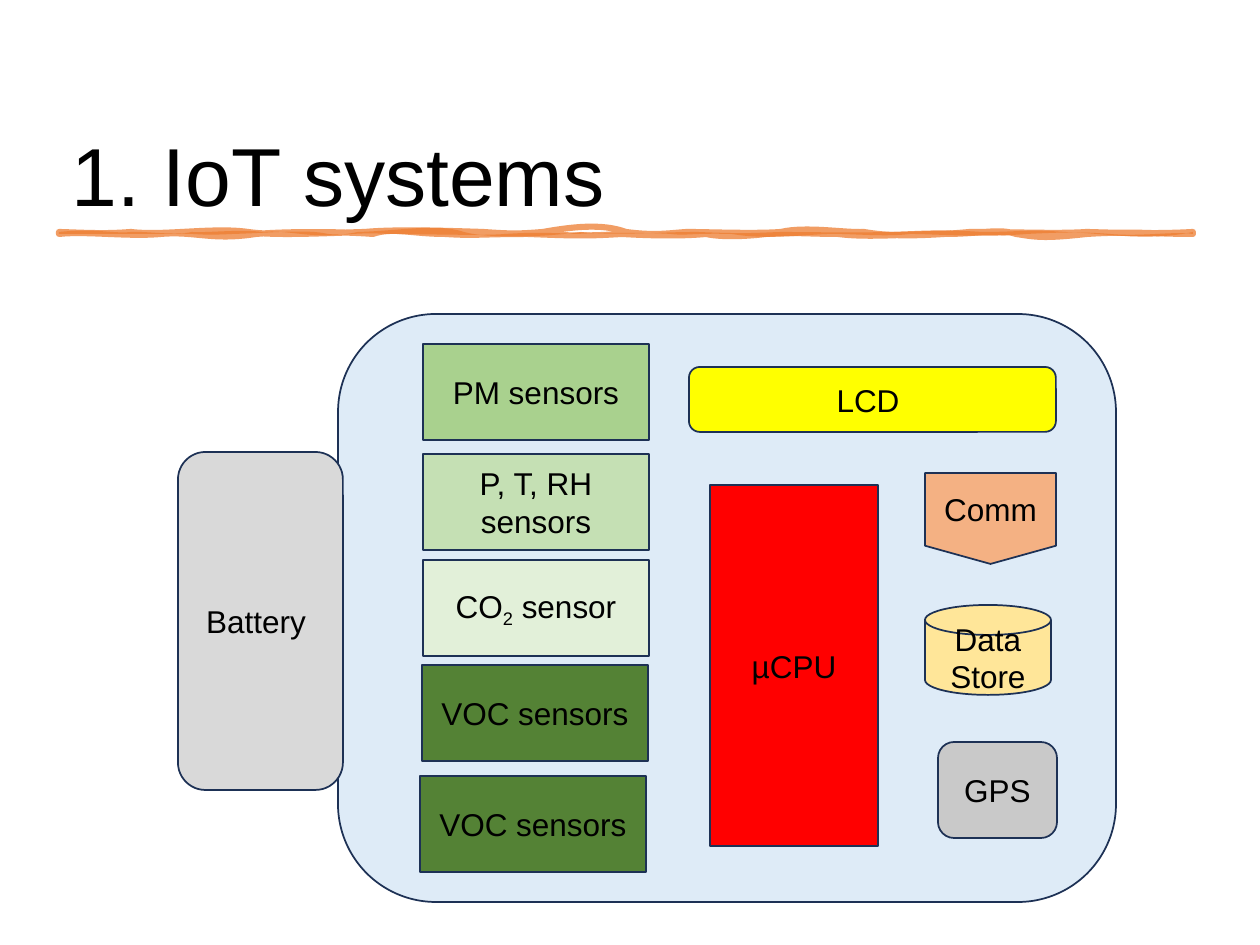
"""Build a slide showing the blocks of an IoT air-quality system."""
from lxml.etree import SubElement
from pptx import Presentation
from pptx.dml.color import RGBColor
from pptx.enum.shapes import MSO_SHAPE as SHAPE
from pptx.enum.text import MSO_ANCHOR as ANCHOR, MSO_AUTO_SIZE as AUTO_SIZE, PP_ALIGN as ALIGN
from pptx.oxml.ns import qn
from pptx.util import Pt

PX = 914400 / 126
TITLE = "1. IoT systems"
COLOURS = {
    "ink": "000000", "outline": "1D3155", "rule": "ED7D31", "case": "DEEBF7",
    "cpu": "FF0000", "weather": "C5E0B4", "dust": "A9D18E", "voc": "548235",
    "co2": "E2F0D9", "gps": "C9C9C9", "store": "FFE699", "comm": "F4B183",
    "lcd": "FFFF00", "battery": "D9D9D9",
}
SENSOR = (226, 96)
DEVICE = [
    (SHAPE.ROUNDED_RECTANGLE, (338, 314, 778, 588), "case", []),
    (SHAPE.RECTANGLE, (710, 485, 168, 361), "cpu", ["µCPU"]),
    (SHAPE.RECTANGLE, (423, 454, *SENSOR), "weather", ["P, T, RH sensors"]),
    (SHAPE.RECTANGLE, (423, 344, *SENSOR), "dust", ["PM sensors"]),
    (SHAPE.RECTANGLE, (420, 776, *SENSOR), "voc", ["VOC sensors"]),
    (SHAPE.RECTANGLE, (423, 560, *SENSOR), "co2", [("CO", "2", " sensor")]),
    (SHAPE.ROUNDED_RECTANGLE, (938, 742, 119, 96), "gps", ["GPS"]),
    (SHAPE.FLOWCHART_MAGNETIC_DISK, (925, 605, 126, 90), "store", ["Data", "Store"]),
    (SHAPE.FLOWCHART_OFFPAGE_CONNECTOR, (925, 473, 131, 91), "comm", ["Comm"]),
    (SHAPE.ROUNDED_RECTANGLE, (689, 367, 367, 65), "lcd", ["LCD "]),
]
ADDED = [
    (SHAPE.ROUNDED_RECTANGLE, (178, 452, 165, 338), "battery", ["Battery "]),
    (SHAPE.RECTANGLE, (422, 665, *SENSOR), "voc", ["VOC sensors"]),
]
RULE = {"left": 59, "right": 1193, "top": 232, "bottom": 234}
STROKE_EDGES = (
    [(89, 233, 106, 234, 131), (163, 236, 214, 227, 248), (275, 236, 328, 233, 365),
     (396, 229, 452, 231, 483), (512, 234, 518, 234, 543), (571, 227, 602, 223, 626),
     (656, 236, 670, 233, 687), (706, 232, 755, 234, 781), (806, 226, 845, 233, 864),
     (887, 236, 914, 237, 970), (1017, 232, 1057, 234, 1087), (1119, 233, 1159, 234, 1193)],
    [(1154, 234, 1135, 231, 1087), (1042, 239, 1036, 237, 1016), (998, 228, 983, 234, 944),
     (907, 234, 868, 238, 838), (809, 234, 794, 232, 766), (742, 237, 719, 237, 706),
     (687, 236, 654, 236, 622), (590, 236, 576, 236, 528), (481, 234, 474, 236, 445),
     (412, 234, 393, 227, 373), (348, 232, 294, 231, 256), (212, 241, 195, 231, 161),
     (129, 237, 86, 231, 59)],
)
FILL_EDGES = (
    [(97, 228, 113, 234, 131), (146, 231, 175, 236, 192), (208, 233, 241, 229, 263),
     (287, 229, 316, 241, 358), (398, 231, 438, 223, 464), (489, 239, 547, 237, 581),
     (619, 236, 653, 232, 698), (746, 234, 752, 233, 781), (809, 232, 852, 233, 887),
     (925, 231, 937, 229, 982), (1022, 232, 1026, 229, 1065), (1103, 233, 1147, 242, 1193)],
    [(1174, 231, 1142, 237, 1110), (1085, 232, 1067, 232, 1027), (980, 238, 935, 234, 910),
     (888, 237, 854, 234, 838), (815, 233, 771, 241, 732), (689, 233, 687, 236, 671),
     (654, 233, 615, 232, 577), (534, 232, 523, 233, 505), (485, 236, 422, 234, 388),
     (354, 232, 349, 236, 328), (307, 229, 271, 233, 233), (195, 236, 200, 233, 173),
     (149, 234, 101, 234, 59)],
)
BOX_TEXT = {"vertical_anchor": ANCHOR.MIDDLE, "word_wrap": True}
TITLE_TEXT = {"vertical_anchor": ANCHOR.BOTTOM, "word_wrap": True, "auto_size": AUTO_SIZE.NONE}


def apply(target, values):
    for name, value in values.items():
        setattr(target, name, value)


def emu(lengths):
    return [round(length * PX) for length in lengths]


def paint(part, colour):
    part.solid()
    part.fore_color.rgb = RGBColor.from_string(COLOURS[colour])


def set_font(font, size):
    apply(font, {"name": "Arial", "size": Pt(size)})
    paint(font.fill, "ink")


def add_block(shapes, kind, place, colour, lines):
    box = shapes.add_shape(kind, *emu(place))
    box.shadow.inherit = False
    paint(box.fill, colour)
    paint(box.line.fill, "outline")
    box.line.width = Pt(1)
    apply(box.text_frame, BOX_TEXT)
    for number, line in enumerate(lines):
        para = box.text_frame.add_paragraph() if number else box.text_frame.paragraphs[0]
        para.alignment = ALIGN.CENTER
        for order, text in enumerate([line] if isinstance(line, str) else line):
            span = para.add_run()
            span.text = text
            set_font(span.font, 18)
            if order == 1:
                span.font._element.set("baseline", "-25000")


def add_command(outline, name, points):
    command = SubElement(outline, qn(name))
    for x, y in points:
        SubElement(command, qn("a:pt"), x=str(x - RULE["left"]), y=str(y - RULE["top"]))


def add_outline(outlines, edges, hidden):
    size = {"w": str(RULE["right"] - RULE["left"]), "h": str(RULE["bottom"] - RULE["top"])}
    outline = SubElement(outlines, qn("a:path"), **size, **hidden)
    add_command(outline, "a:moveTo", [(RULE["left"], RULE["top"])])
    for edge, y in zip(edges, (RULE["top"], RULE["bottom"])):
        if y == RULE["bottom"]:
            add_command(outline, "a:lnTo", [(RULE["right"], y)])
        for x1, y1, x2, y2, end in edge:
            add_command(outline, "a:cubicBezTo", [(x1, y1), (x2, y2), (end, y)])
    SubElement(outline, qn("a:close"))


def add_rule(page):
    left, right, top, bottom = emu(RULE.values())
    builder = page.shapes.build_freeform(left, top)
    builder.add_line_segments([(right, top), (right, bottom), (left, bottom)], close=True)
    rule = builder.convert_to_shape()
    rule.shadow.inherit = False
    properties = rule._element.spPr
    outlines = next(properties.iter(qn("a:pathLst")))
    outlines.remove(outlines[0])
    add_outline(outlines, STROKE_EDGES, {"fill": "none"})
    add_outline(outlines, FILL_EDGES, {"stroke": "0"})
    paint(rule.fill, "rule")
    paint(rule.line.fill, "rule")
    rule.line.width = Pt(3.5)
    SubElement(properties.find(qn("a:ln")), qn("a:round"))
    for tint in list(properties.iter(qn("a:srgbClr"))):
        SubElement(tint, qn("a:alpha"), val="75000")


def main():
    deck = Presentation()
    deck.slide_width, deck.slide_height = emu((1260, 945))
    page = deck.slides.add_slide(deck.slide_layouts[5])
    title = page.shapes.title
    apply(title, dict(zip(("left", "top", "width", "height"), emu((59, 33, 1139, 198)))))
    apply(title.text_frame, TITLE_TEXT)
    para = title.text_frame.paragraphs[0]
    apply(para, {"alignment": ALIGN.LEFT, "line_spacing": 0.9})
    span = para.add_run()
    span.text = TITLE
    set_font(span.font, 47)
    add_rule(page)
    device = page.shapes.add_group_shape()
    for shapes, blocks in ((device.shapes, DEVICE), (page.shapes, ADDED)):
        for block in blocks:
            add_block(shapes, *block)
    deck.save("out.pptx")


if __name__ == "__main__":
    main()
